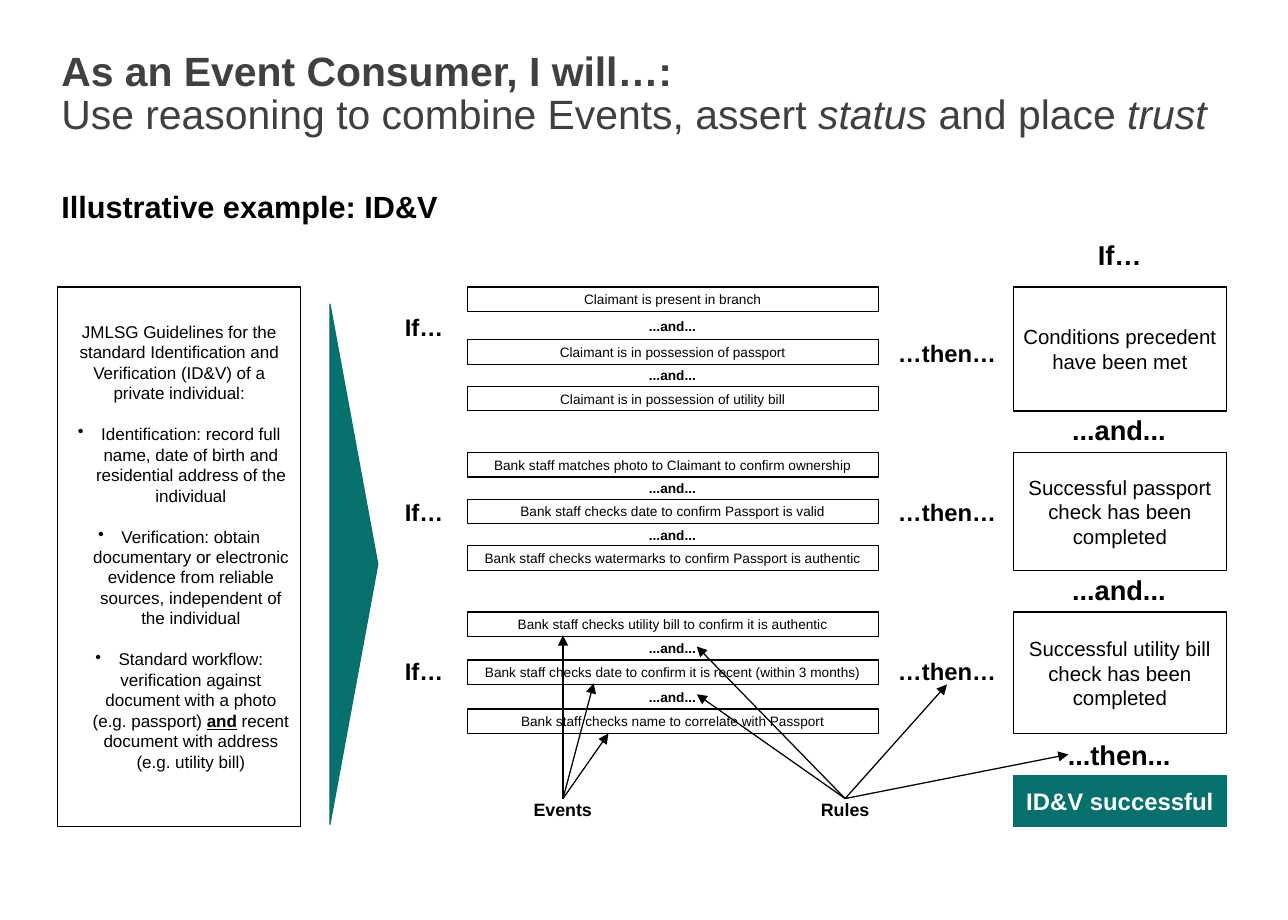
import pptx
import pptx.util
import pptx.dml.color
import pptx.enum.shapes
import pptx.enum.text
import pptx.oxml.ns
import lxml.etree

Inches = pptx.util.Inches
Pt = pptx.util.Pt
Align = pptx.enum.text.PP_ALIGN
Anchor = pptx.enum.text.MSO_ANCHOR
Fit = pptx.enum.text.MSO_AUTO_SIZE
Kind = pptx.enum.shapes.MSO_SHAPE
COLORS = {"ink": "000000", "title": "404040", "teal": "06706D", "white": "FFFFFF"}
BAR = 0.2
GROUPS = [
    (2.34, 1.01, 0.43, 2.55, 2.76, "Conditions precedent have been met",
     ["Claimant is present in branch",
      "Claimant is in possession of passport",
      "Claimant is in possession of utility bill"]),
    (3.69, 0.96, 0.38, 4.06, 4.06, "Successful passport check has been completed",
     ["Bank staff matches photo to Claimant to confirm ownership",
      "Bank staff checks date to confirm Passport is valid",
      "Bank staff checks watermarks to confirm Passport is authentic"]),
    (4.99, 0.99, 0.39, 5.35, 5.35, "Successful utility bill check has been completed",
     ["Bank staff checks utility bill to confirm it is authentic",
      "Bank staff checks date to confirm it is recent (within 3 months)",
      "Bank staff checks name to correlate with Passport"]),
]


def color(name):
    return pptx.dml.color.RGBColor.from_string(COLORS[name])


def apply(target, values):
    for name, value in values.items():
        setattr(target, name, value)


def write(para, runs, size, ink="ink", **style):
    for text, extra in runs:
        run = para.add_run()
        run.text = text
        apply(run.font, {"name": "Arial", "size": Pt(size), **style, **extra})
        run.font.color.rgb = color(ink)


def pad(frame, inset, **values):
    sides = ("margin_left", "margin_top", "margin_right", "margin_bottom")
    apply(frame, {**dict.fromkeys(sides, Inches(inset)), **values})


def label(slide, box, text, size, align=Align.LEFT, wrap=False):
    frame = slide.shapes.add_textbox(*map(Inches, box)).text_frame
    pad(frame, 0, word_wrap=wrap, auto_size=Fit.NONE if wrap else Fit.SHAPE_TO_FIT_TEXT)
    frame.paragraphs[0].alignment = align
    write(frame.paragraphs[0], [(text, {})], size, bold=True)


def block(slide, box, fill="white", line="ink", kind=Kind.RECTANGLE):
    shape = slide.shapes.add_shape(kind, *map(Inches, box))
    shape.shadow.inherit = False
    shape.fill.solid()
    shape.fill.fore_color.rgb = color(fill)
    shape.line.color.rgb = color(line)
    shape.line.width = Pt(0.75)
    pad(shape.text_frame, 0.08, word_wrap=True, vertical_anchor=Anchor.MIDDLE)
    return shape


def card(slide, box, text, size, fill="white", line="ink", ink="ink", bold=False):
    para = block(slide, box, fill, line).text_frame.paragraphs[0]
    para.alignment = Align.CENTER
    write(para, [(text, {})], size, ink, bold=bold)


def arrow(slide, start, end):
    line = slide.shapes.add_connector(
        pptx.enum.shapes.MSO_CONNECTOR.STRAIGHT, *map(Inches, start + end))
    line.line.color.rgb = color("ink")
    line.line.width = Pt(0.75)
    qn = pptx.oxml.ns.qn
    props = line._element.spPr
    lxml.etree.SubElement(props.find(qn("a:ln")), qn("a:tailEnd"), type="triangle")
    lxml.etree.SubElement(props, qn("a:effectLst"))


def header(slide, box):
    left, top, width, height = box
    frame = slide.shapes.add_textbox(*map(Inches, box)).text_frame
    pad(frame, 0, word_wrap=True)
    slant = {"italic": True}
    lines = [
        [("As an Event Consumer, I will…:", {"bold": True})],
        [("Use reasoning to combine Events, assert ", {}), ("status ", slant),
         ("and place ", {}), ("trust", slant)],
    ]
    for index, runs in enumerate(lines):
        para = frame.add_paragraph() if index else frame.paragraphs[0]
        para.line_spacing = 0.88
        write(para, runs, 24, "title")
    label(slide, (left, top + 1.11, width, 0.4), "Illustrative example: ID&V", 18, wrap=True)


def guide(slide, box):
    frame = block(slide, box).text_frame
    frame.margin_bottom = Inches(0.25)
    items = [
        [("JMLSG Guidelines for the standard Identification and Verification (ID&V) "
          "of a private individual:", {})],
        [("Identification: record full name, date of birth and residential address "
          "of the individual", {})],
        [("Verification: obtain documentary or electronic evidence from reliable "
          "sources, independent of the individual", {})],
        [("Standard workflow: verification against document with a photo (e.g. passport) ", {}),
         ("and", {"bold": True, "underline": True}),
         (" recent document with address (e.g. utility bill)", {})],
    ]
    for index, runs in enumerate(items):
        para = frame.add_paragraph() if index else frame.paragraphs[0]
        para.alignment = Align.CENTER
        if index:
            para.space_before = Pt(12)
            props = para._p.get_or_add_pPr()
            props.set("marL", str(Inches(0.19)))
            props.set("indent", str(-Inches(0.19)))
            lxml.etree.SubElement(props, pptx.oxml.ns.qn("a:buChar"), char="•")
        write(para, runs, 10)


def wedge(slide, box):
    left, top, width, height = box
    shift = (height - width) / 2
    shape = block(slide, (left - shift, top + shift, height, width),
                  "teal", "teal", Kind.ISOSCELES_TRIANGLE)
    shape.rotation = 90


def group(slide, box, step, texts):
    left, top, width, height = box
    tops = [top, top + step, top + height - BAR]
    for y, text in zip(tops, texts):
        card(slide, (left, y, width, BAR), text, 8)
    for upper, lower in zip(tops, tops[1:]):
        y = (upper + BAR + lower - 0.13) / 2
        label(slide, (left + 1.48, y, 0.39, 0.13), "...and...", 8)


def result(slide, box):
    left, top, width, height = box
    card(slide, (left, top + height - 0.42, width, 0.42), "ID&V successful", 14,
         "teal", "teal", "white", True)
    for y, text, wide in [(1.94, "If…", 0.36), (3.37, "...and...", 0.78),
                          (4.67, "...and...", 0.78), (6.02, "...then...", 0.85)]:
        label(slide, (left + (width - wide) / 2, y, wide, 0.27), text, 16)


def legend(slide, box):
    left, top, width, height = box
    label(slide, (left, top, 0.48, height), "Events", 10.5)
    label(slide, (left + width - 0.92, top, 0.92, height), "Rules", 10.5, Align.CENTER, True)
    fans = {
        left + 0.24: [(4.96, 5.98), (4.84, 5.57), (4.59, 5.18)],
        left + width - 0.46: [(5.68, 5.27), (7.72, 5.58), (5.68, 5.66), (8.71, 6.15)],
    }
    for x, ends in fans.items():
        for end in ends:
            arrow(slide, (x, top), end)


def main():
    deck = pptx.Presentation()
    deck.slide_width, deck.slide_height = Inches(10.5), Inches(7.5)
    slide = deck.slides.add_slide(deck.slide_layouts[6])
    header(slide, (0.5, 0.42, 9.5, 0.83))
    guide(slide, (0.47, 2.34, 1.98, 4.4))
    wedge(slide, (2.69, 2.48, 0.39, 4.24))
    for top, height, step, if_top, then_top, goal, texts in GROUPS:
        group(slide, (3.81, top, 3.35, height), step, texts)
        label(slide, (3.3, if_top, 0.32, 0.24), "If…", 14)
        label(slide, (7.32, then_top, 0.82, 0.24), "…then…", 14)
        card(slide, (8.26, top, 1.74, height), goal, 12)
    result(slide, (8.26, 2.34, 1.74, 4.4))
    legend(slide, (4.35, 6.51, 3, 0.18))
    deck.save("out.pptx")


if __name__ == "__main__":
    main()
